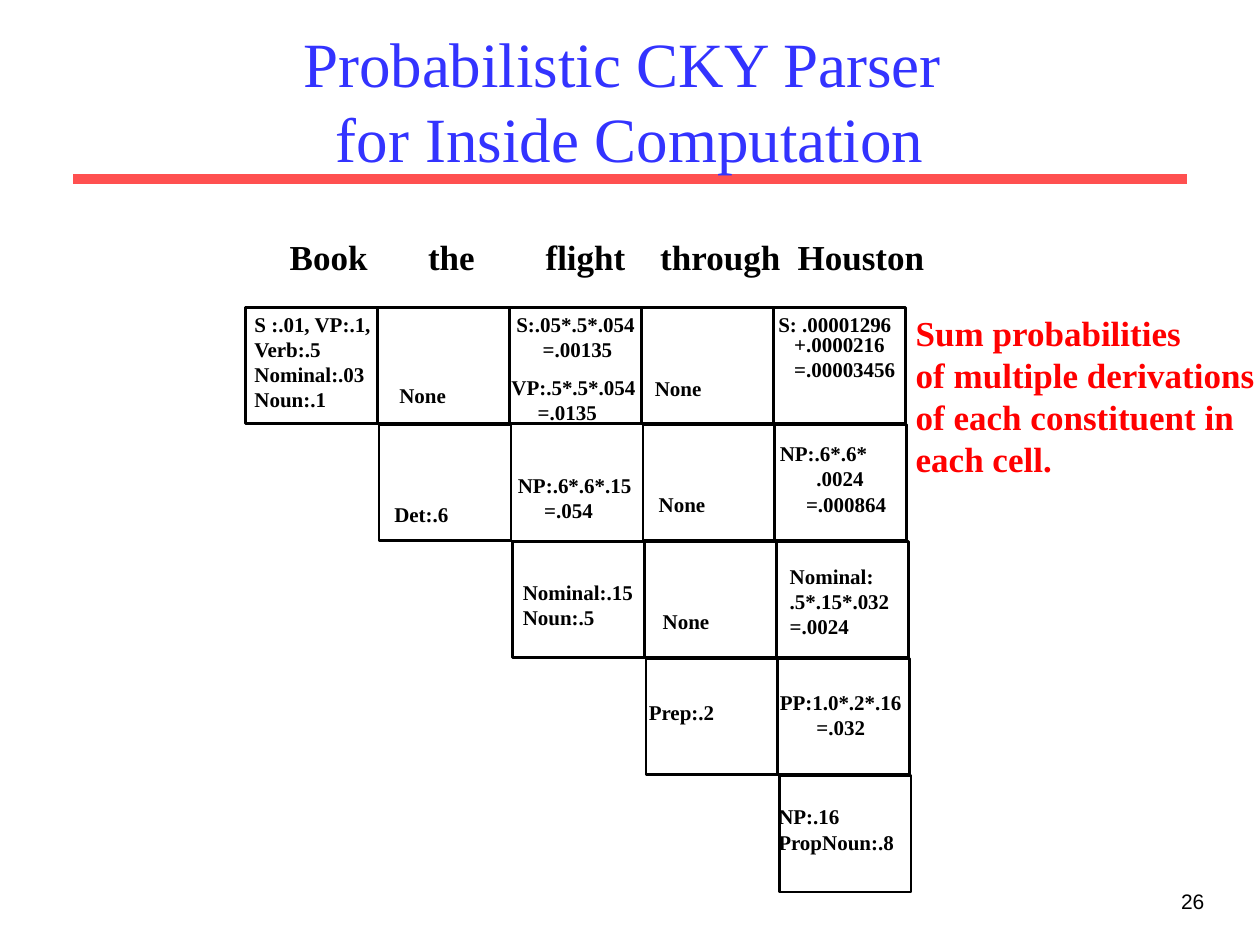
from dataclasses import dataclass

import pptx
import pptx.dml.color
import pptx.enum.shapes
import pptx.enum.text
import pptx.oxml.ns
import pptx.oxml.xmlchemy
import pptx.util

Cm = pptx.util.Cm
Pt = pptx.util.Pt
RGB = pptx.dml.color.RGBColor
Align = pptx.enum.text.PP_ALIGN
Anchor = pptx.enum.text.MSO_ANCHOR
OxmlElement = pptx.oxml.xmlchemy.OxmlElement
qn = pptx.oxml.ns.qn


@dataclass(frozen=True)
class Theme:
    serif: str = "Times New Roman"
    sans: str = "Arial"
    black: RGB = RGB(0x00, 0x00, 0x00)
    title: RGB = RGB(0x33, 0x33, 0xFF)
    rule: RGB = RGB(0xFF, 0x50, 0x50)
    remark: RGB = RGB(0xFF, 0x00, 0x00)
    title_size: float = 36
    heading_size: float = 20
    entry_size: float = 12


@dataclass(frozen=True)
class Entry:
    x: float
    y: float
    text: str
    indents: tuple[float, ...] = ()


THEME = Theme()
WORDS = ("Book", "the", "flight", "through", "Houston")
WORD_TABS = (2.79, 5.16, 7.47, 10.24)
CELL_W, CELL_H = 2.66, 2.34
ROW_STEP, ROW_DRIFT = 2.36, 0.03
OPEN_CELL = (1, 2)
ENTRIES = (
    Entry(4.88, 6.15, "S :.01, VP:.1,\nVerb:.5\nNominal:.03\nNoun:.1"),
    Entry(7.8, 7.59, "None"),
    Entry(10.16, 6.15, "S:.05*.5*.054\n=.00135", (0, 0.53)),
    Entry(10.06, 7.42, "VP:.5*.5*.054\n=.0135", (0, 0.53)),
    Entry(12.95, 7.44, "None"),
    Entry(15.44, 6.15, "S: .00001296"),
    Entry(15.44, 6.55, "+.0000216\n=.00003456", (0.32, 0.32)),
    Entry(7.7, 9.98, "Det:.6"),
    Entry(10.19, 9.4, "NP:.6*.6*.15\n=.054", (0, 0.53)),
    Entry(13.03, 9.78, "None"),
    Entry(15.47, 8.76, "NP:.6*.6*\n.0024\n=.000864", (0, 0.74, 0.53)),
    Entry(10.29, 11.56, "Nominal:.15\nNoun:.5"),
    Entry(13.11, 12.14, "None"),
    Entry(15.67, 11.23, "Nominal:\n.5*.15*.032\n=.0024"),
    Entry(12.83, 13.97, "Prep:.2"),
    Entry(15.47, 13.77, "PP:1.0*.2*.16\n=.032", (0, 0.74)),
    Entry(15.44, 16.08, "NP:.16\nPropNoun:.8"),
)


def add_text(s, text: str, x: float, y: float, w: float, h: float, *,
             size: float, color: RGB = THEME.black, font: str = THEME.serif,
             bold: bool = False, align: Align = Align.LEFT,
             anchor: Anchor = Anchor.TOP, right: float = 0,
             indents: tuple[float, ...] = (),
             tabs: tuple[float, ...] = ()) -> None:
    tf = s.shapes.add_textbox(Cm(x), Cm(y), Cm(w), Cm(h)).text_frame
    tf.word_wrap = True
    tf.vertical_anchor = anchor
    tf.margin_right = Cm(right)
    for i, line in enumerate(text.split("\n")):
        p = tf.paragraphs[0] if i == 0 else tf.add_paragraph()
        p.alignment = align
        pPr = p._p.get_or_add_pPr()
        if indents:
            pPr.set("marL", str(Cm(indents[i])))
        if tabs:
            tab_list = OxmlElement("a:tabLst")
            for position in tabs:
                tab = OxmlElement("a:tab")
                tab.set("pos", str(Cm(position)))
                tab.set("algn", "l")
                tab_list.append(tab)
            pPr.append(tab_list)
        r = p.add_run()
        r.text = line
        r.font.name = font
        r.font.size = Pt(size)
        r.font.bold = bold
        r.font.color.rgb = color


def add_rule(s) -> None:
    line = s.shapes.add_connector(
        pptx.enum.shapes.MSO_CONNECTOR.STRAIGHT,
        Cm(1.48), Cm(3.61), Cm(23.92), Cm(3.61))
    line.line.color.rgb = THEME.rule
    line.line.width = Pt(6)
    line._element.find(qn("p:spPr")).append(OxmlElement("a:effectLst"))


def add_cell(s, row: int, col: int) -> None:
    sp = s.shapes.add_shape(
        pptx.enum.shapes.MSO_SHAPE.RECTANGLE,
        Cm(4.95 + col * CELL_W + row * ROW_DRIFT), Cm(6.2 + row * ROW_STEP),
        Cm(CELL_W), Cm(CELL_H))
    sp.shadow.inherit = False
    sp.fill.background()
    sp.line.color.rgb = THEME.black
    sp.line.width = Pt(1.5)


def main() -> None:
    prs = pptx.Presentation()
    prs.slide_width, prs.slide_height = Cm(25.4), Cm(19.05)
    s = prs.slides.add_slide(prs.slide_layouts[6])

    add_rule(s)
    add_text(s, "Probabilistic CKY Parser \nfor Inside Computation",
             1.9, 0.64, 21.6, 2.74, size=THEME.title_size, color=THEME.title,
             align=Align.CENTER, anchor=Anchor.MIDDLE, right=0.25)
    add_text(s, "\t".join(WORDS), 5.59, 4.62, 13.7, 1.12,
             size=THEME.heading_size, bold=True, tabs=WORD_TABS)

    for row in range(len(WORDS)):
        for col in range(row, len(WORDS)):
            if (row, col) != OPEN_CELL:
                add_cell(s, row, col)
    for entry in ENTRIES:
        lines = entry.text.count("\n") + 1
        add_text(s, entry.text, entry.x, entry.y, 3.05, 0.25 + 0.51 * lines,
                 size=THEME.entry_size, bold=True, indents=entry.indents)

    add_text(s, "Sum probabilities\nof multiple derivations\n"
             "of each constituent in\neach cell.", 18.21, 6.15, 7.19, 3.66,
             size=THEME.heading_size, color=THEME.remark, bold=True)
    add_text(s, "26", 19.25, 17.78, 5.28, 1.27, size=THEME.entry_size,
             font=THEME.sans, align=Align.RIGHT, right=0.25)
    prs.save("out.pptx")


if __name__ == "__main__":
    main()
